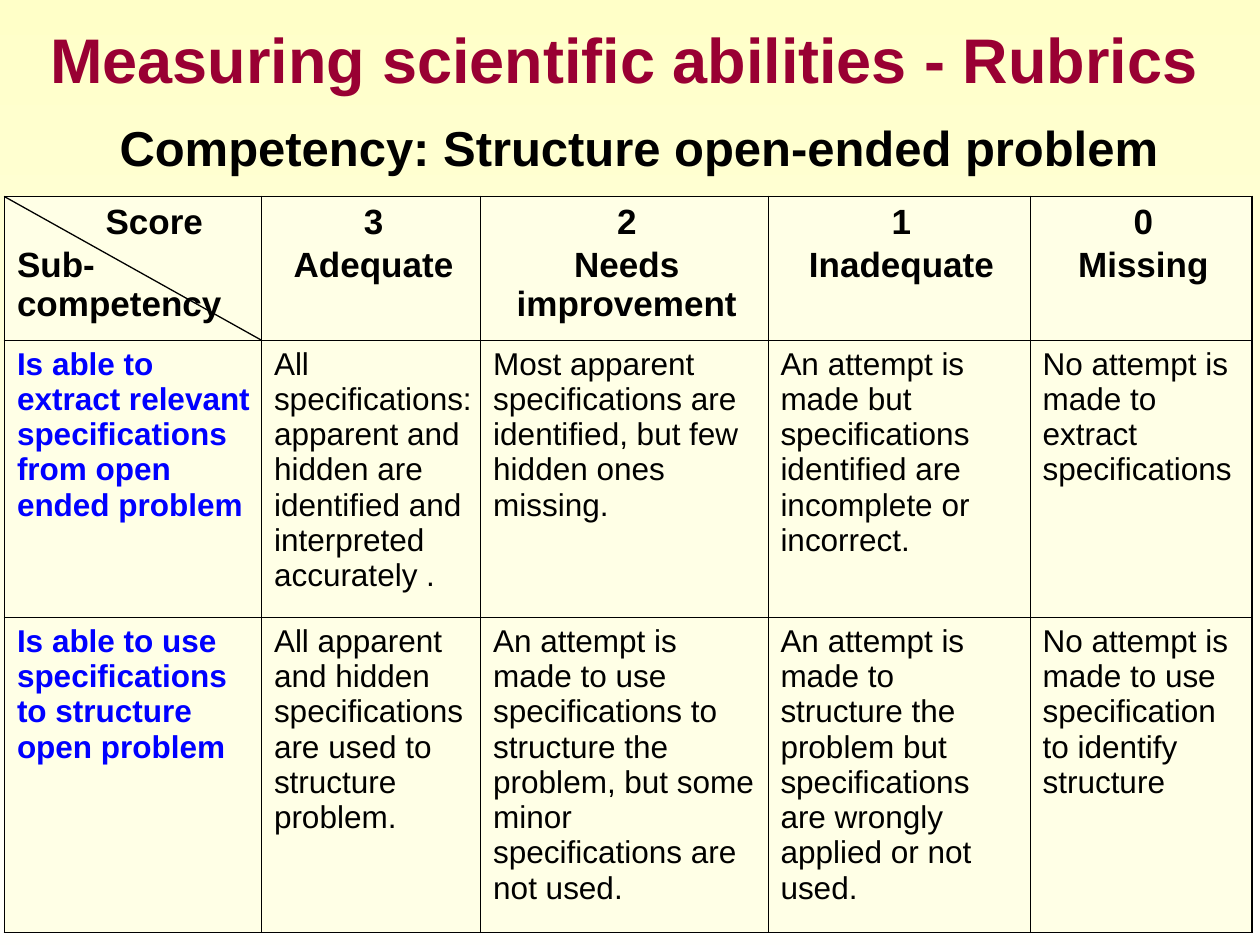
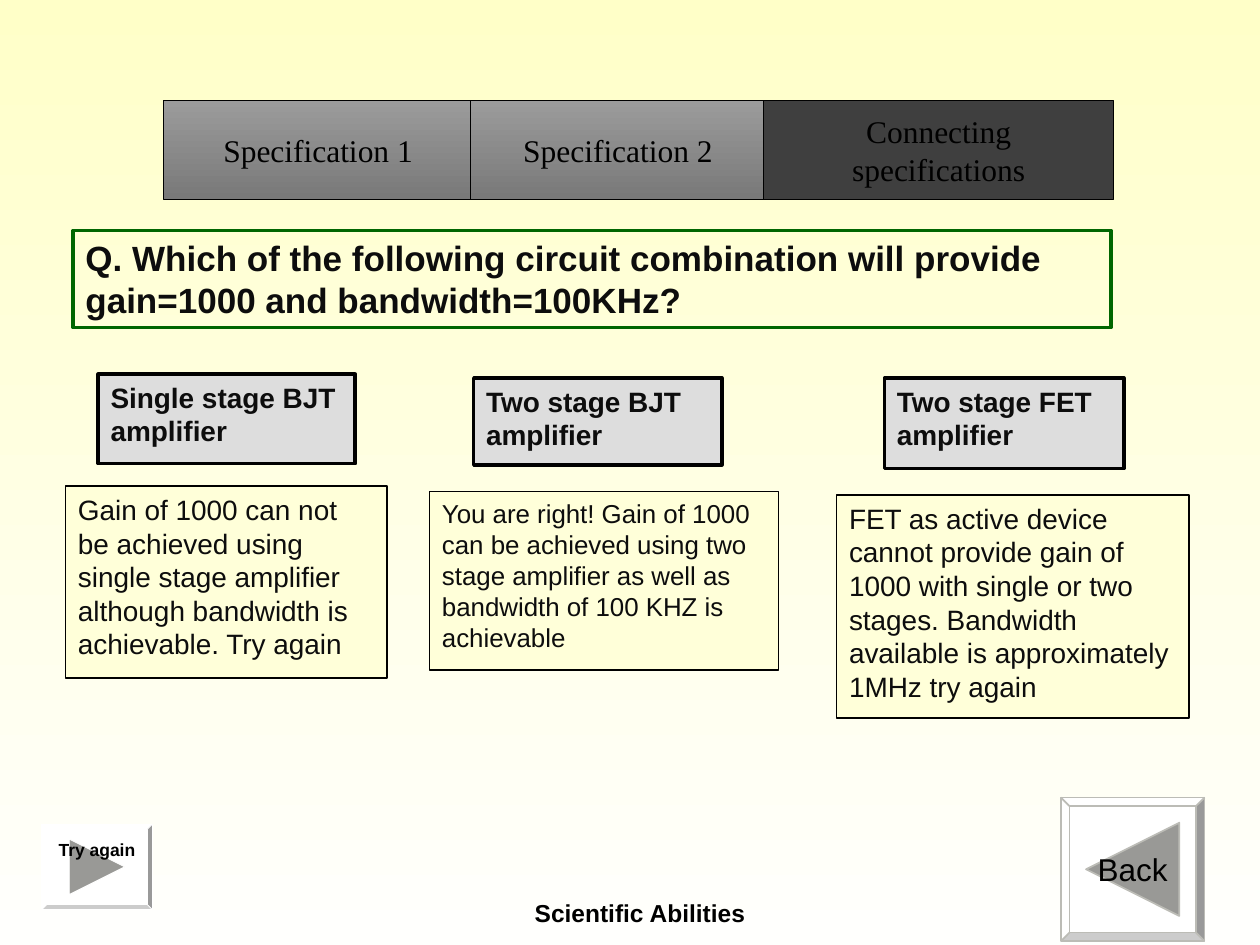
import lxml.etree
import pptx
import pptx.dml.color
import pptx.enum.shapes
import pptx.enum.text
import pptx.oxml.ns
import pptx.util

RGB = pptx.dml.color.RGBColor
SHAPE = pptx.enum.shapes.MSO_SHAPE
ALIGN = pptx.enum.text.PP_ALIGN
ANCHOR = pptx.enum.text.MSO_ANCHOR
Pt = pptx.util.Pt
qn = pptx.oxml.ns.qn

BLACK = RGB(0x00, 0x00, 0x00)
INK = RGB(0x0D, 0x0D, 0x0D)
MAROON = RGB(0x99, 0x00, 0x33)
BLUE = RGB(0x00, 0x00, 0xFF)
GREEN = RGB(0x00, 0x66, 0x00)
CREAM = RGB(0xFF, 0xFF, 0xC8)
IVORY = RGB(0xFF, 0xFF, 0xFD)
CELL_FILL = RGB(0xFF, 0xFF, 0xE6)
FEEDBACK_FILL = RGB(0xFF, 0xFF, 0xD9)
CHOICE_FILL = RGB(0xDD, 0xDD, 0xDD)
TAB_TOP = RGB(0x9B, 0x9B, 0x9B)
TAB_BOTTOM = RGB(0x79, 0x79, 0x79)
TAB_ACTIVE = RGB(0x3F, 0x3F, 0x3F)
ARROW = RGB(0x99, 0x99, 0x96)
WHITE = RGB(0xFF, 0xFF, 0xFF)
BUTTON_EDGE = RGB(0xBC, 0xBC, 0xB6)

deck = pptx.Presentation()
deck.slide_width = pptx.util.Inches(10)
deck.slide_height = pptx.util.Inches(7.5)
COL = deck.slide_width / 100
ROW = deck.slide_height / 75


def place(left, top, width, height):
    """Turn grid columns and rows into slide lengths."""
    return [round(n * unit) for n, unit in zip((left, top, width, height), (COL, ROW) * 2)]


def write(frame, lines, size, color, bold=False, align=ALIGN.LEFT, font="Arial", gap=0):
    """Fill a text frame with one paragraph per line, gap points apart."""
    frame.word_wrap = True
    for number, line in enumerate(lines):
        paragraph = frame.add_paragraph() if number else frame.paragraphs[0]
        paragraph.text = line
        paragraph.alignment = align
        paragraph.space_before = Pt(gap if number else 0)
        paragraph.font.name = font
        paragraph.font.size = Pt(size)
        paragraph.font.bold = bold
        paragraph.font.color.rgb = color


backdrop = deck.slide_master.background.fill
backdrop.gradient()
backdrop.gradient_angle = 270
for stop, color in zip(backdrop.gradient_stops, (CREAM, IVORY)):
    stop.color.rgb = color
    stop.position = 0 if color == CREAM else 1

# Slide 1: rubric
rubric = deck.slides.add_slide(deck.slide_layouts[5])
title = rubric.shapes.title
title.left, title.top, title.width, title.height = place(0, 0.9, 99.1, 6.8)
title.text_frame.margin_left = title.text_frame.margin_right = 0
title.text_frame.vertical_anchor = ANCHOR.MIDDLE
write(title.text_frame, ["Measuring scientific abilities - Rubrics"], 36, MAROON, True, ALIGN.CENTER)
title.text_frame.paragraphs[0].line_spacing = 1.1

competency = rubric.shapes.add_textbox(*place(3.2, 8.8, 95, 5.9))
write(competency.text_frame, ["Competency: Structure open-ended problem"], 28, BLACK, True, ALIGN.CENTER)

SCORES = [
    ["Score", "Sub-competency"],
    ["3", "Adequate"],
    ["2", "Needs improvement"],
    ["1", "Inadequate"],
    ["0", "Missing"],
]
ABILITIES = [
    [
        "Is able to extract relevant specifications from open ended problem",
        "All specifications: apparent and hidden are identified and interpreted accurately .",
        "Most apparent specifications are identified, but few hidden ones missing.",
        "An attempt is made but specifications identified are incomplete or incorrect.",
        "No attempt is made to extract specifications",
    ],
    [
        "Is able to use specifications to structure open problem",
        "All apparent and hidden specifications are used to structure problem.",
        "An attempt is made to use specifications to structure the problem, "
        "but some minor specifications are not used.",
        "An attempt is made to structure the problem but specifications are wrongly applied or not used.",
        "No attempt is made to use specification to identify structure",
    ],
]
COLUMN_WIDTHS = [20.4, 17.4, 22.8, 20.8, 17.6]
ROW_HEIGHTS = [11.4, 22, 25]
TABLE_LEFT, TABLE_TOP = 0.35, 15.6

scores = rubric.shapes.add_table(
    3, 5, *place(TABLE_LEFT, TABLE_TOP, sum(COLUMN_WIDTHS), sum(ROW_HEIGHTS))
).table
scores.first_row = scores.horz_banding = False
for column, width in zip(scores.columns, COLUMN_WIDTHS):
    column.width = round(width * COL)
for row, height in zip(scores.rows, ROW_HEIGHTS):
    row.height = round(height * ROW)

for r in range(3):
    for c in range(5):
        cell = scores.cell(r, c)
        cell.margin_left, cell.margin_top, cell.margin_right, cell.margin_bottom = place(1, 0.5, 0.6, 0.5)
        cell.fill.solid()
        cell.fill.fore_color.rgb = CELL_FILL
        if r == 0:
            write(cell.text_frame, SCORES[c], 20, BLACK, True, ALIGN.CENTER, gap=2.5)
        else:
            write(cell.text_frame, [ABILITIES[r - 1][c]], 18, BLACK if c else BLUE, c == 0)
        outer_edges = {"a:lnL": c == 0, "a:lnR": c == 4, "a:lnT": r == 0, "a:lnB": r == 2}
        for position, (edge, is_outer) in enumerate(outer_edges.items()):
            border = lxml.etree.Element(qn(edge), w=str(Pt(1.08 if is_outer else 0.45)))
            ink = lxml.etree.SubElement(border, qn("a:solidFill"))
            lxml.etree.SubElement(ink, qn("a:srgbClr"), val=str(BLACK))
            cell._tc.get_or_add_tcPr().insert(position, border)

score_label, ability_label = scores.cell(0, 0).text_frame.paragraphs
score_label._p.get_or_add_pPr().set("marL", str(round(3 * COL)))
ability_label.alignment = ALIGN.LEFT

corner_left, corner_top, corner_width, corner_height = place(
    TABLE_LEFT, TABLE_TOP, COLUMN_WIDTHS[0], ROW_HEIGHTS[0])
diagonal = rubric.shapes.add_connector(
    pptx.enum.shapes.MSO_CONNECTOR.STRAIGHT, corner_left, corner_top,
    corner_left + corner_width, corner_top + corner_height)
diagonal.line.color.rgb = BLACK
diagonal.line.width = Pt(0.75)
lxml.etree.SubElement(diagonal._element.spPr, qn("a:effectLst"))

# Slide 2: quiz on connecting specifications
quiz = deck.slides.add_slide(deck.slide_layouts[6])
footer = quiz.shapes.add_textbox(*place(30.8, 70.8, 40, 4.2))
write(footer.text_frame, ["Scientific Abilities"], 14, BLACK, True, ALIGN.CENTER)

for name, left, width in [
    ("Specification 1", 13, 24.5),
    ("Specification 2", 37.3, 23.5),
    ("Connecting specifications", 60.6, 27.8),
]:
    tab = quiz.shapes.add_shape(SHAPE.RECTANGLE, *place(left, 8, width, 7.8))
    tab.shadow.inherit = False
    if name.startswith("Connecting"):
        tab.fill.solid()
        tab.fill.fore_color.rgb = TAB_ACTIVE
    else:
        tab.fill.gradient()
        tab.fill.gradient_angle = 270
        for stop, color in zip(tab.fill.gradient_stops, (TAB_TOP, TAB_BOTTOM)):
            stop.color.rgb = color
            stop.position = 0 if color == TAB_TOP else 1
    tab.line.color.rgb = BLACK
    tab.line.width = Pt(0.5)
    write(tab.text_frame, [name], 18, BLACK, align=ALIGN.CENTER, font="Times New Roman")

QUESTION = "Q. Which of the following circuit combination will provide gain=1000 and bandwidth=100KHz?"
# text, grid box, size, bold, fill, line colour, line width
CARDS = [(QUESTION, (5.8, 18.3, 82.4, 7.7), 20, True, None, GREEN, 2)]
for choice, choice_box, feedback, feedback_box, size in [
    ("Single stage BJT amplifier", (7.8, 29.7, 20.4, 7.1),
     "Gain of 1000 can not be achieved using single stage amplifier although "
     "bandwidth is achievable. Try again", (5.2, 38.6, 25.5, 15.2), 16),
    ("Two stage BJT amplifier", (37.6, 30, 19.7, 6.9),
     "You are right! Gain of 1000 can be achieved using two stage amplifier as well as "
     "bandwidth of 100 KHZ is achievable", (34.1, 39, 27.7, 14.2), 14.8),
    ("Two stage FET amplifier", (70.2, 30, 19, 7.2),
     "FET as active device cannot provide gain of 1000 with single or two stages. "
     "Bandwidth available is approximately 1MHz try again", (66.4, 39.3, 28, 17.7), 16),
]:
    CARDS.append((choice, choice_box, 16, True, CHOICE_FILL, BLACK, 2))
    CARDS.append((feedback, feedback_box, size, False, FEEDBACK_FILL, BLACK, 1))

for text, box, size, bold, fill, edge, weight in CARDS:
    card = quiz.shapes.add_shape(SHAPE.RECTANGLE, *place(*box))
    card.shadow.inherit = False
    if fill is None:
        card.fill.background()
    else:
        card.fill.solid()
        card.fill.fore_color.rgb = fill
    card.line.color.rgb = edge
    card.line.width = Pt(weight)
    card.text_frame.vertical_anchor = ANCHOR.TOP
    write(card.text_frame, [text], size, INK, bold)

# label, button box, arrow base and tip columns, arrow top and height, size, bold, anchor, edge, weight
for label, box, base, tip, top, height, size, bold, anchor, edge, weight in [
    ("Try again", (3.3, 65.4, 8.8, 6.8), 5.5, 9.9, 66.6, 4.4, 10, True, ANCHOR.TOP, WHITE, 0.5),
    ("Back", (84.2, 63.3, 11.4, 11.4), 93.6, 86.2, 65.3, 7.4, 18, False, ANCHOR.MIDDLE, BUTTON_EDGE, 1),
]:
    button = quiz.shapes.add_shape(SHAPE.BEVEL, *place(*box))
    button.adjustments[0] = 0.06
    button.fill.solid()
    button.fill.fore_color.rgb = WHITE

    base_x, top_y, tip_x, middle_y = place(base, top, tip, top + height / 2)
    outline = quiz.shapes.build_freeform(base_x, top_y)
    outline.add_line_segments([(tip_x, middle_y), (base_x, round((top + height) * ROW))])
    arrow = outline.convert_to_shape()
    arrow.fill.solid()
    arrow.fill.fore_color.rgb = ARROW
    for part in (button, arrow):
        part.shadow.inherit = False
        part.line.color.rgb = edge
        part.line.width = Pt(weight)
    write(arrow.text_frame, [label], size, BLACK, bold, ALIGN.CENTER)
    arrow.text_frame.word_wrap = False
    arrow.text_frame.vertical_anchor = anchor
    arrow.text_frame.margin_top = arrow.text_frame.margin_bottom = 0

deck.save("out.pptx")
